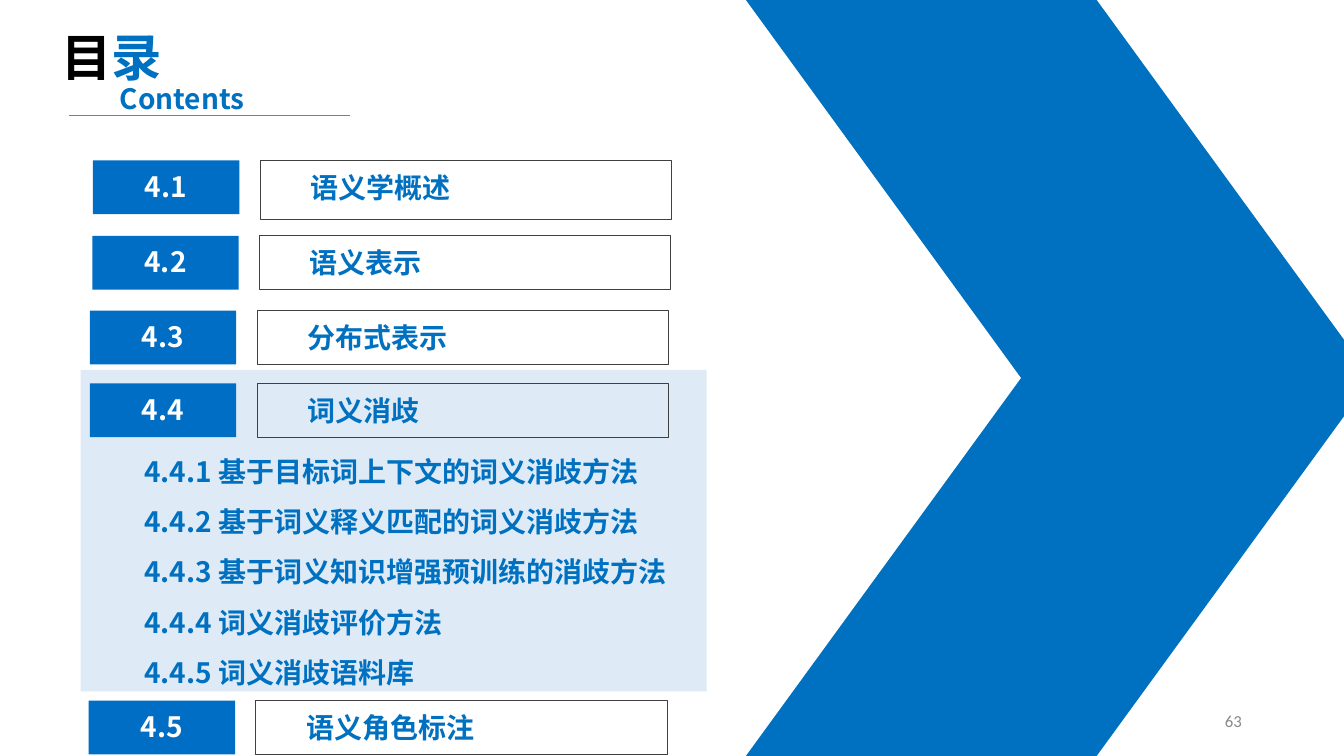
from pptx import Presentation
from pptx.dml.color import RGBColor
from pptx.enum.shapes import MSO_CONNECTOR, MSO_SHAPE
from pptx.enum.text import MSO_ANCHOR, MSO_AUTO_SIZE, PP_ALIGN
from pptx.util import Pt
from lxml.etree import SubElement
from pptx.oxml.ns import qn

SANS = "Noto Sans CJK SC"
BLUE, NAVY, PALE, WHITE = "0070C0", "006EC5", "DEEBF7", "FFFFFF"
BLACK, DARK, GREY, LIGHT = "000000", "404040", "7F7F7F", "898989"

HEAD = [("目", BLACK), ("录", BLUE)]
SUB = "Contents"
PAGE = "63"
ROWS = [
    ("4.1", "语义学概述", 66.4, 114.5, 42),
    ("4.2", "语义表示", 66, 168.5, 38.4),
    ("4.3", "分布式表示", 64.2, 221.8, 38.4),
    ("4.4", "词义消歧", 64.2, 273.8, 38.4),
    ("4.5", "语义角色标注", 63.4, 500.4, 38.4),
]
PARTS = [
    "4.4.1 基于目标词上下文的词义消歧方法",
    "4.4.2 基于词义释义匹配的词义消歧方法",
    "4.4.3 基于词义知识增强预训练的消歧方法",
    "4.4.4 词义消歧评价方法",
    "4.4.5 词义消歧语料库",
]

deck = Presentation()
deck.slide_width, deck.slide_height = Pt(960), Pt(540)
slide = deck.slides.add_slide(deck.slide_layouts[6])
shapes = slide.shapes


def paint(fmt, color):
    fmt.rgb = RGBColor.from_string(color)


def block(kind, x, y, w, h, fill=None, line=None):
    shape = shapes.add_shape(kind, Pt(x), Pt(y), Pt(w), Pt(h))
    shape.shadow.inherit = False
    if fill:
        shape.fill.solid()
        paint(shape.fill.fore_color, fill)
    else:
        shape.fill.background()
    if line:
        paint(shape.line.color, line)
        shape.line.width = Pt(0.75)
    else:
        shape.line.fill.background()
    return shape


def style(run, size, color, font=SANS, bold=True):
    run.font.size, run.font.bold, run.font.name = Pt(size), bold, font
    paint(run.font.color, color)
    SubElement(run.font._element, qn("a:ea"), typeface=font)


def label(lines, x, y, w, h, color=BLUE, size=20, align=PP_ALIGN.LEFT, **look):
    box = shapes.add_textbox(Pt(x), Pt(y), Pt(w), Pt(h))
    frame = box.text_frame
    frame.word_wrap = True
    frame.auto_size = MSO_AUTO_SIZE.SHAPE_TO_FIT_TEXT
    frame.text = "\n".join(lines)
    for para in frame.paragraphs:
        para.alignment = align
        for run in para.runs:
            style(run, size, color, **look)
    return frame


block(MSO_SHAPE.RECTANGLE, 57.6, 264.2, 447.1, 229.7, fill=PALE)
parts = label(PARTS, 95.8, 308.9, 425.5, 185)
for para in parts.paragraphs:
    para.line_spacing = 1.5

for top in (270, 0):
    wing = block(MSO_SHAPE.PARALLELOGRAM, 532.8, top, 447.1, 270, fill=BLUE)
    wing.adjustments[0] = 0.728
    if top == 0:
        wing._element.spPr.xfrm.set("flipV", "1")

for num, name, x, y, high in ROWS:
    block(MSO_SHAPE.RECTANGLE, x + 119.4, y, 293.8, high, line=DARK)
    label([name], x + 148.2, y + 3.6, 260, 31.5)
    block(MSO_SHAPE.RECTANGLE, x, y, 104.6, 38.4, fill=NAVY)
    label([num], x + 14.4, y + 2.9, 75.6, 31.5, WHITE, align=PP_ALIGN.CENTER)

head = label([""], 36.7, 15.1, 113, 51).paragraphs[0]
for word, color in HEAD:
    run = head.add_run()
    run.text = word
    style(run, 36, color)

rule = shapes.add_connector(MSO_CONNECTOR.STRAIGHT, Pt(49), Pt(82.1), Pt(249.8), Pt(82.1))
paint(rule.line.color, GREY)
rule.line.width = Pt(0.5)
SubElement(rule._element.spPr, qn("a:effectLst"))
label([SUB], 78.5, 54.7, 113, 31.5)

page = label([PAGE], 678.2, 500.4, 216, 28.8, LIGHT, 12, PP_ALIGN.RIGHT,
             font="Calibri", bold=False)
page.auto_size = MSO_AUTO_SIZE.NONE
page.vertical_anchor = MSO_ANCHOR.MIDDLE

deck.save("out.pptx")
